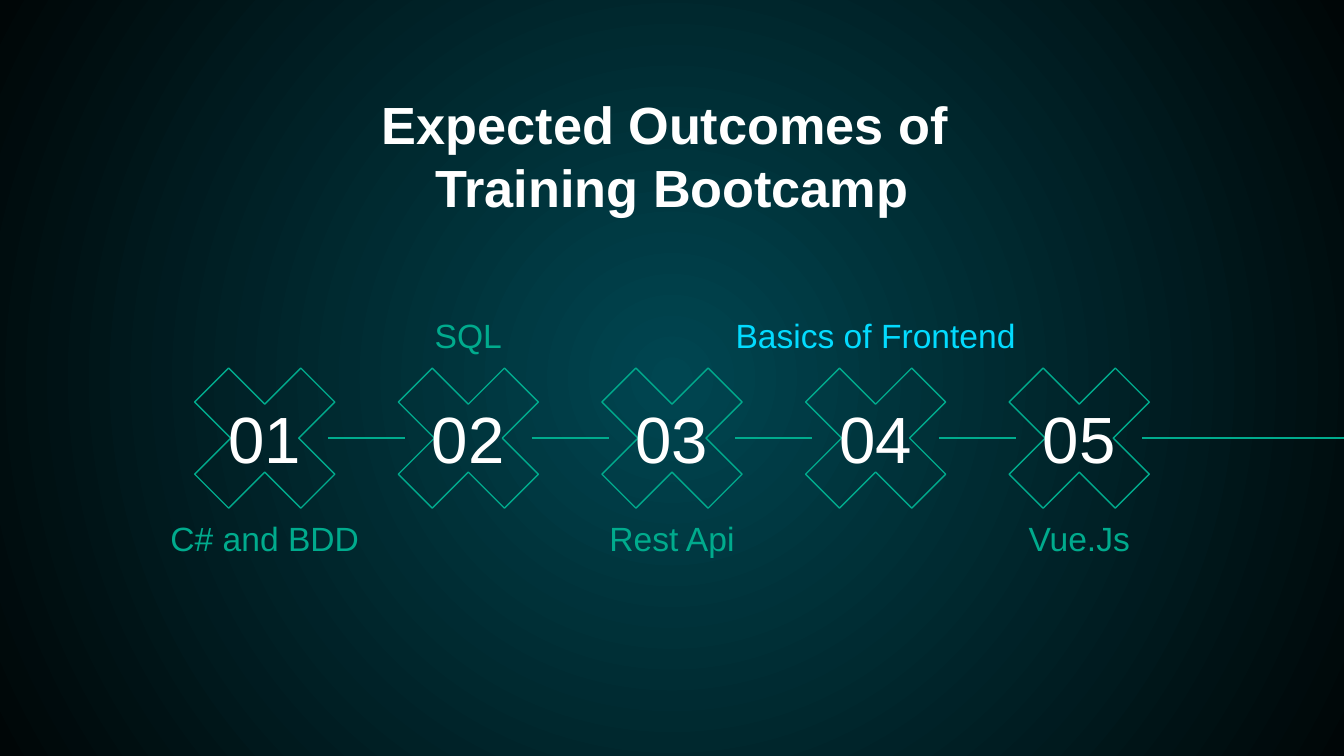
"""Build the slide on the expected outcomes of a training bootcamp."""
from lxml.etree import SubElement
from pptx import Presentation
from pptx.dml.color import RGBColor
from pptx.enum.shapes import MSO_CONNECTOR, MSO_SHAPE
from pptx.enum.text import MSO_ANCHOR, PP_ALIGN
from pptx.oxml import parse_xml
from pptx.oxml.ns import nsdecls, qn
from pptx.util import Inches, Pt

WHITE = RGBColor(0xFF, 0xFF, 0xFF)
GREEN = RGBColor(0x00, 0xAB, 0x8D)
CYAN = RGBColor(0x03, 0xDB, 0xFF)
TEAL = RGBColor(0x00, 0x46, 0x51)
NIGHT = RGBColor(0x00, 0x06, 0x07)

WIDTH = 10
FIRST_X, LAST_X = 1.97, 8.03
CROSS_Y, NUMBER_Y, LINK_Y = 2.5, 3.01, 3.26
CROSS, LABEL_W, NUMBER_W = 1.52, 2.38, 0.94
ABOVE, BELOW = 2.33, 3.84
OUTCOMES = [
    ("C# and BDD", BELOW, GREEN),
    ("SQL", ABOVE, GREEN),
    ("Rest Api", BELOW, GREEN),
    ("Basics of Frontend", ABOVE, CYAN),
    ("Vue.Js", BELOW, GREEN),
]


def write(tf, text, size=18, color=WHITE, bold=False, anchor=MSO_ANCHOR.MIDDLE):
    tf.word_wrap = True
    tf.vertical_anchor = anchor
    tf.margin_left = tf.margin_right = tf.margin_top = tf.margin_bottom = Inches(0.1)
    p = tf.paragraphs[0]
    p.text = text
    p.alignment = PP_ALIGN.CENTER
    for r in p.runs:
        r.font.name = "Arial"
        r.font.size = Pt(size)
        r.font.bold = bold
        r.font.color.rgb = color


class Deck:
    def __init__(self, slide, line_color=GREEN, line_width=0.75):
        self.s = slide
        self.line_color = line_color
        self.line_width = Pt(line_width)

    def background(self, inner, outer):
        fill = self.s.background.fill
        fill.gradient()
        for stop, color, position in zip(fill.gradient_stops, (inner, outer), (0, 1)):
            stop.color.rgb = color
            stop.position = position
        lin = next(self.s.element.iter(qn("a:lin")))
        lin.getparent().replace(lin, parse_xml(
            f'<a:path {nsdecls("a")} path="circle">'
            '<a:fillToRect l="50000" t="50000" r="50000" b="50000"/></a:path>'))

    def text(self, x, y, w, h, text, **style):
        sp = self.s.shapes.add_textbox(Inches(x), Inches(y), Inches(w), Inches(h))
        write(sp.text_frame, text, **style)

    def cross(self, x, y, size):
        sp = self.s.shapes.add_shape(
            MSO_SHAPE.MATH_MULTIPLY, Inches(x), Inches(y), Inches(size), Inches(size))
        sp.adjustments[0] = 0.235
        sp.shadow.inherit = False
        sp.fill.background()
        self.outline(sp.line)

    def link(self, kind, x1, x2, y):
        c = self.s.shapes.add_connector(kind, Inches(x1), Inches(y), Inches(x2), Inches(y))
        self.outline(c.line)
        SubElement(c._element.spPr, qn("a:effectLst"))

    def outline(self, line):
        line.color.rgb = self.line_color
        line.width = self.line_width


def main():
    prs = Presentation()
    prs.slide_width, prs.slide_height = Inches(WIDTH), Inches(WIDTH * 9 / 16)
    deck = Deck(prs.slides.add_slide(prs.slide_layouts[6]))
    deck.background(TEAL, NIGHT)
    pitch = (LAST_X - FIRST_X) / (len(OUTCOMES) - 1)
    centers = [FIRST_X + i * pitch for i in range(len(OUTCOMES))]

    for x in centers:
        deck.cross(x - CROSS / 2, CROSS_Y, CROSS)
    deck.text(0.78, 0.59, 8.44, 0.63, "Expected Outcomes of \vTraining Bootcamp",
              size=28, bold=True, anchor=MSO_ANCHOR.TOP)
    for i, (x, (label, y, color)) in enumerate(zip(centers, OUTCOMES), 1):
        deck.text(x - LABEL_W / 2, y, LABEL_W, 0.41, label,
                  color=color, anchor=MSO_ANCHOR.BOTTOM)
        deck.text(x - NUMBER_W / 2, NUMBER_Y, NUMBER_W, 0.49, f"{i:02}", size=35)
    for left, right in zip(centers, centers[1:]):
        deck.link(MSO_CONNECTOR.ELBOW, left + NUMBER_W / 2, right - NUMBER_W / 2, LINK_Y)
    deck.link(MSO_CONNECTOR.STRAIGHT, LAST_X + NUMBER_W / 2, 10.14, LINK_Y)
    prs.save("out.pptx")


if __name__ == "__main__":
    main()
